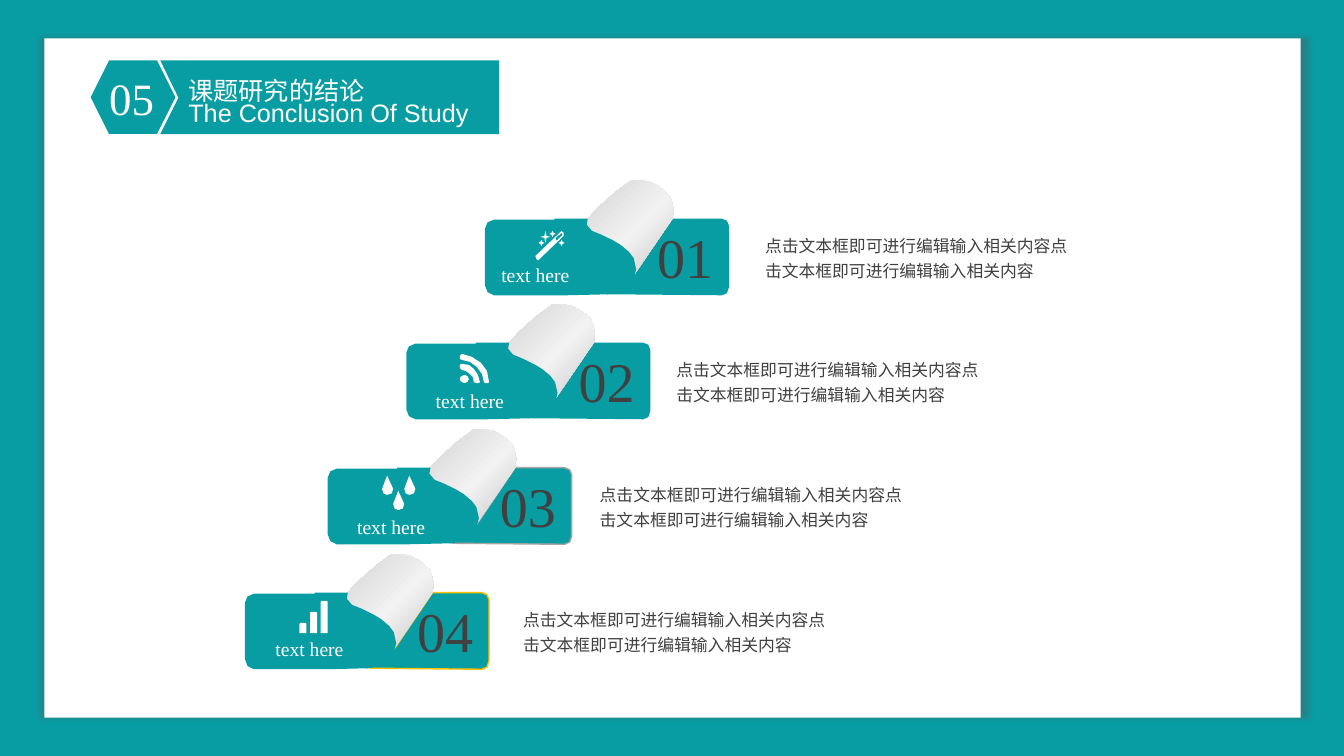
from dataclasses import dataclass
from math import dist

from lxml import etree
from pptx import Presentation
from pptx import util as u
from pptx.dml.color import RGBColor
from pptx.enum import shapes, text
from pptx.oxml import ns, parse_xml


@dataclass(frozen=True)
class Theme:
    teal: str = "089DA3"
    white: str = "FFFFFF"
    dark: str = "404040"
    shade: str = "595959"
    gray: str = "A5A5A5"
    gold: str = "FFC000"
    curl: tuple = ((8, "D9D9D9"), (50, "F2F2F2"), (98, "BFBFBF"))
    serif: str = "Times New Roman"
    sans: str = "Arial"
    hans: str = "Noto Sans CJK SC"
    digit: int = 40
    badge: int = 32
    title: int = 18
    label: int = 14
    note: int = 12


T = Theme()
NOTE = "点击文本框即可进行编辑输入相关内容点击文本框即可进行编辑输入相关内容"

BANNER = "M 159 60 L 495 60 L 495 133 L 159 133 L 177 97 Z"
FLAP = ("M 124 75 L 146 59 L 186 0 L 235 0 C 239 0 242 3 242 7 "
        "L 242 68 C 242 73 239 76 235 76 Z")
CURL = ("M 145 -38 L 130 -27 L 112 -11 L 100 2 L 98 8 L 103 13 L 131 26 "
        "L 144 39 L 144 59 L 133 70 L 121 75 L 141 66 L 186 0 "
        "L 187 -9 C 186 -16 186 -14 183 -23 "
        "C 178 -28 177 -29 171 -33 C 166 -36 164 -37 156 -38 Z")
BODY = ("M 102 0 L 101 6 L 106 12 L 116 16 L 128 22 "
        "C 134 26 136 26 143 33 C 148 40 148 37 150 50 "
        "C 148 62 148 60 143 66 C 134 73 131 74 124 75 "
        "L 80 76 L 9 76 C 4 76 0 71 0 66 L 0 10 "
        "C 0 5 4 1 9 1 L 69 1 L 69 0 Z")
WAND = ("M 25 1 L 26 0 L 28 2 L 28 5 L 3 29 L 1 28 L 0 25 Z "
        "M 27 4 L 26 2 L 20 7 L 21 10 Z "
        "M 9 7 L 5 6 L 9 5 L 10 0 L 11 5 L 15 6 L 11 7 L 10 12 Z")
STAR = "M -1 1 L -3 0 L -1 -1 L 0 -3 L 1 -1 L 3 0 L 1 1 L 0 3 Z"
WAVES = ("M 2 0 L 12 3 L 21 9 L 27 17 L 29 28 L 28 29 L 25 29 L 24 28 "
         "L 22 20 L 17 13 L 10 8 L 2 6 L 0 5 L 0 2 Z "
         "M 2 10 L 9 11 L 14 15 L 18 21 L 20 28 L 19 29 L 16 29 L 14 28 "
         "L 13 23 L 10 20 L 6 17 L 2 16 L 0 14 L 0 11 Z "
         "M 5 21 C 7 21 9 23 9 25 C 9 27 7 29 5 29 "
         "C 2 29 0 27 0 25 C 0 23 2 21 5 21 Z")
DROP = ("M 0 0 C -1 7 -5 8 -5 13 C -5 17 -3 19 0 19 "
        "C 4 19 6 17 6 13 C 6 8 1 7 0 0 Z")


def bar(high):
    return f"M 1 0 L 6 0 L 7 1 L 7 {high} L 0 {high} L 0 1 Z"


ICONS = (
    [(WAND, 531, 229), (STAR, 537, 241), (STAR, 548, 232), (STAR, 557, 241)],
    [(WAVES, 456, 351)],
    [(DROP, 384, 472), (DROP, 406, 472), (DROP, 395, 487)],
    [(bar(10), 297, 618), (bar(21), 307.5, 607), (bar(32), 318, 596)],
)
CARDS = (
    (4.81, 2.17, (4.85, 2.56), 7.49, None),
    (4.03, 3.4, (4.2, 3.81), 6.61, None),
    (3.25, 4.64, (3.42, 5.06), 5.85, T.gray),
    (2.43, 5.88, (2.61, 6.27), 5.09, T.gold),
)


def bend(a, b, c, d):
    steps = 2 if dist(a, d) > 5 else 1
    for i in range(1, steps + 1):
        t = i / steps
        s = 1 - t
        yield tuple(s**3 * p + 3 * s * s * t * q + 3 * s * t * t * r + t**3 * v
                    for p, q, r, v in zip(a, b, c, d))


def trace(path, dx, dy):
    loops = []
    parts = iter(path.split())

    def point():
        return float(next(parts)) + dx, float(next(parts)) + dy

    for mark in parts:
        if mark == "M":
            loops.append([point()])
        elif mark == "L":
            loops[-1].append(point())
        elif mark == "C":
            loops[-1].extend(bend(loops[-1][-1], point(), point(), point()))
    return loops


def paint(shape, fill, line=None):
    shape.shadow.inherit = False
    shape.fill.solid()
    shape.fill.fore_color.rgb = RGBColor.from_string(fill)
    if line:
        shape.line.color.rgb = RGBColor.from_string(line)
        shape.line.width = u.Pt(1)
    else:
        shape.line.fill.background()
    return shape


def draw(slide, parts, fill, line=None):
    unit = u.Inches(0.01)
    loops = [[(x * unit, y * unit) for x, y in loop]
             for part in parts for loop in trace(*part)]
    pen = slide.shapes.build_freeform(*loops[0][0])
    for i, loop in enumerate(loops):
        if i:
            pen.move_to(*loop[0])
        pen.add_line_segments(loop[1:], close=True)
    return paint(pen.convert_to_shape(), fill, line)


def block(slide, kind, box, fill):
    return paint(slide.shapes.add_shape(kind, *map(u.Inches, box)), fill)


def write(slide, box, words, font, size, color, wrap=True, mid=False, gap=None):
    frame = slide.shapes.add_textbox(*map(u.Inches, box)).text_frame
    frame.text = words
    frame.word_wrap = wrap
    frame.auto_size = text.MSO_AUTO_SIZE.SHAPE_TO_FIT_TEXT
    para = frame.paragraphs[0]
    para.alignment = text.PP_ALIGN.CENTER if mid else text.PP_ALIGN.LEFT
    if gap:
        para.line_spacing = gap
    run = para.runs[0]
    run.font.size = u.Pt(size)
    run.font.name = font
    run.font.color.rgb = RGBColor.from_string(color)
    etree.SubElement(run.font._element, ns.qn("a:ea"), typeface=font)


def shade(shape):
    glow = parse_xml(
        f'<a:effectLst {ns.nsdecls("a")}><a:outerShdw blurRad="50800" dist="25400" '
        f'dir="0" sx="101000" sy="100000" algn="ctr" rotWithShape="0">'
        f'<a:srgbClr val="{T.shade}"><a:alpha val="36000"/></a:srgbClr>'
        f'</a:outerShdw></a:effectLst>')
    old = shape._element.spPr.find(ns.qn("a:effectLst"))
    old.getparent().replace(old, glow)


def blend(shape):
    stops = "".join(f'<a:gs pos="{at * 1000}"><a:srgbClr val="{hue}"/></a:gs>'
                    for at, hue in T.curl)
    grad = parse_xml(
        f'<a:gradFill {ns.nsdecls("a")} rotWithShape="1"><a:gsLst>{stops}</a:gsLst>'
        f'<a:path path="circle"><a:fillToRect r="100000" b="100000"/></a:path>'
        f'</a:gradFill>')
    old = shape._element.spPr.find(ns.qn("a:solidFill"))
    old.getparent().replace(old, grad)


def header(slide):
    draw(slide, [(BANNER, 0, 0)], T.teal)
    block(slide, shapes.MSO_SHAPE.HEXAGON, (0.9, 0.6, 0.84, 0.73), T.teal)
    write(slide, (0.87, 0.65, 0.87, 0.64), "05", T.serif, T.badge, T.white, mid=True)
    write(slide, (1.77, 0.4, 1.97, 0.62), "课题研究的结论", T.hans, T.title, T.white,
          wrap=False, gap=2)
    write(slide, (1.77, 0.92, 5.49, 0.4), "The Conclusion Of Study", T.sans,
          T.title, T.white)


def card(slide, count, icon, left, top, label, note, edge):
    spot = left * 100, top * 100
    draw(slide, [(FLAP, *spot)], T.teal, edge)
    blend(draw(slide, [(CURL, *spot)], T.white))
    draw(slide, [(BODY, *spot)], T.teal)
    write(slide, (left + 1.61, top - 0.01, 0.77, 0.77), f"{count:02}", T.serif,
          T.digit, T.dark, wrap=False)
    draw(slide, icon, T.white)
    write(slide, (*label, 0.92, 0.34), "text here", T.serif, T.label, T.white,
          wrap=False, mid=True)
    write(slide, (note, top + 0.07, 3.27, 0.61), NOTE, T.hans, T.note, T.dark, gap=1.25)


def main():
    deck = Presentation()
    deck.slide_width, deck.slide_height = u.Inches(13.33), u.Inches(7.5)
    slide = deck.slides.add_slide(deck.slide_layouts[6])
    slide.background.fill.solid()
    slide.background.fill.fore_color.rgb = RGBColor.from_string(T.teal)
    shade(block(slide, shapes.MSO_SHAPE.RECTANGLE, (0.44, 0.38, 12.46, 6.74), T.white))
    header(slide)
    for count, (icon, place) in enumerate(zip(ICONS, CARDS), 1):
        card(slide, count, icon, *place)
    deck.save("out.pptx")


if __name__ == "__main__":
    main()
